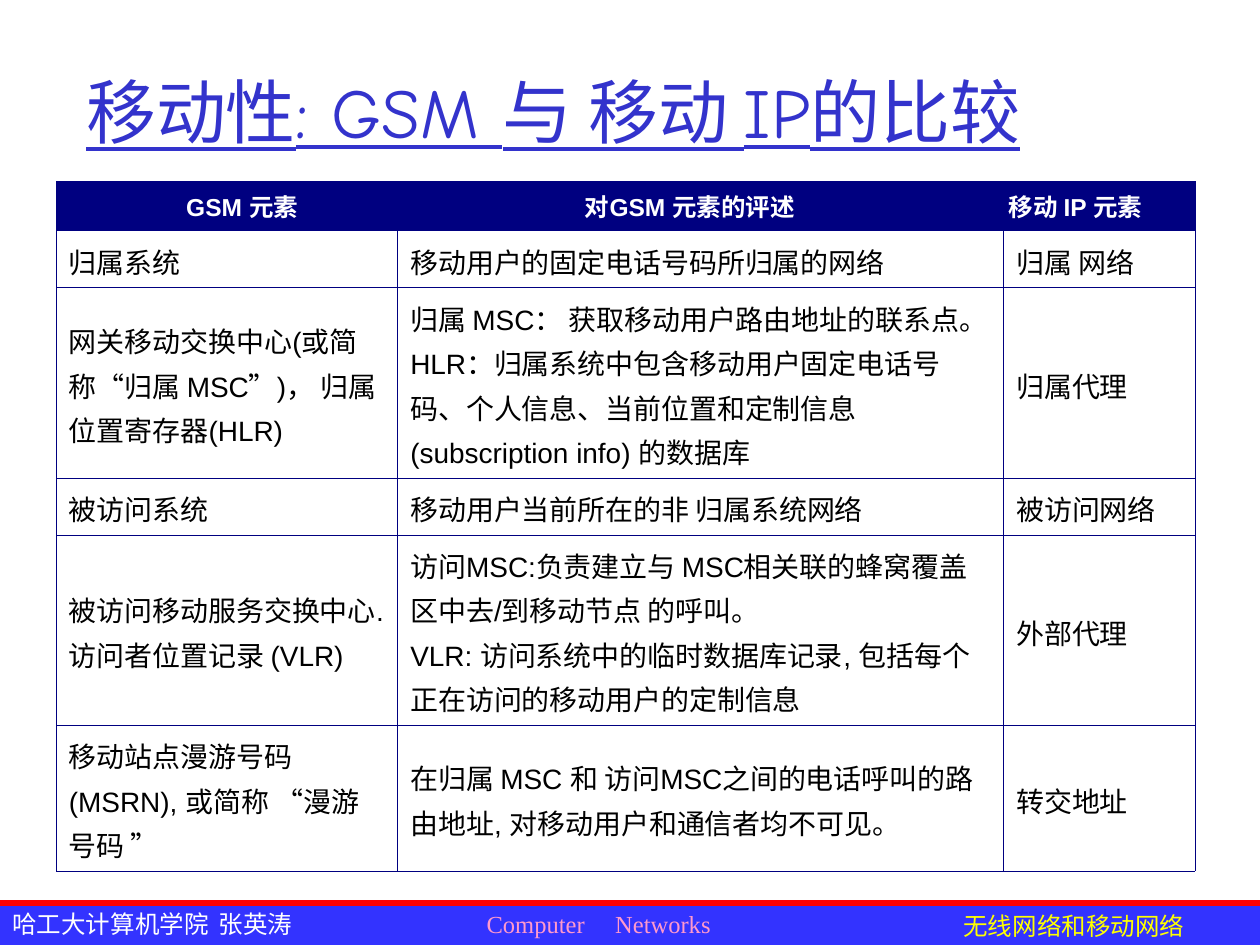
import dataclasses

import pptx
import pptx.dml.color
import pptx.enum.shapes
import pptx.enum.text
import pptx.oxml
import pptx.oxml.ns
import pptx.util

Pt = pptx.util.Pt
Align = pptx.enum.text.PP_ALIGN
Anchor = pptx.enum.text.MSO_ANCHOR


@dataclasses.dataclass(frozen=True)
class Theme:
    title_font: str = "Comic Neue"
    table_font: str = "Arial"
    footer_font: str = "Times New Roman"
    title_size: int = 40
    body_size: int = 16
    small_size: int = 14
    title: str = "3333CC"
    navy: str = "000080"
    bar: str = "3333FF"
    rule: str = "FF0000"
    course: str = "FF99CC"
    chapter: str = "FFFF00"
    black: str = "000000"
    white: str = "FFFFFF"


THEME = Theme()
PAGE_WIDTH, PAGE_HEIGHT = 720, 540
FOOTER_TOP = 516
BORDER = 0.45

COLUMNS = [195.1, 17.3, 299.5, 29.5, 109.4]
ROWS = [28.2, 32.6, 108.6, 32.6, 108.6, 83.4]
# First and last grid column of each visible cell
HEADER_SPANS = [(0, 1), (2, 2), (3, 4)]
BODY_SPANS = [(0, 0), (1, 3), (4, 4)]

HEADER = ["GSM 元素", "对GSM 元素的评述", "移动 IP 元素"]
# A cell is a list of paragraphs; a paragraph is a list of (text, font) spans
ARIAL, COMIC = THEME.table_font, THEME.title_font
BODY = [
    ["归属系统", "移动用户的固定电话号码所归属的网络", "归属 网络"],
    ["网关移动交换中心(或简称“归属 MSC”)， 归属位置寄存器(HLR)",
     "归属 MSC： 获取移动用户路由地址的联系点。 HLR：归属系统中包含移动用户固定电话号码、"
     "个人信息、当前位置和定制信息(subscription info) 的数据库",
     "归属代理"],
    ["被访问系统", "移动用户当前所在的非 归属系统网络", "被访问网络"],
    [[[("被访问移动服务交换中心.", ARIAL)], [("访问者位置记录 (VLR)", ARIAL)]],
     [[("访问MSC:负责建立与 MSC相关联的", ARIAL), ("蜂窝覆盖", COMIC),
       ("区中去/到移动节点 的呼叫。", ARIAL)],
      [("VLR: 访问系统中的临时数据库记录, 包括每个正在访问的移动用户的定制信息", ARIAL)]],
     "外部代理"],
    ["移动站点漫游号码 (MSRN), 或简称 “漫游号码 ”",
     "在归属 MSC 和 访问MSC之间的电话呼叫的路由地址, 对移动用户和通信者均不可见。",
     "转交地址"],
]


def color(value):
    return pptx.dml.color.RGBColor.from_string(value)


def add_span(para, text, *, font, size, fill, bold=False, underline=False):
    span = para.add_run()
    span.text = text
    span.font.name = font
    span.font.size = Pt(size)
    span.font.color.rgb = color(fill)
    span.font.bold = bold
    span.font.underline = underline


def add_tabs(para, stops):
    properties = para._p.get_or_add_pPr()
    tabs = properties.makeelement(pptx.oxml.ns.qn("a:tabLst"), {})
    for stop in stops:
        tab = tabs.makeelement(pptx.oxml.ns.qn("a:tab"), {"pos": str(Pt(stop)), "algn": "l"})
        tabs.append(tab)
    properties.append(tabs)


def add_footer(slide):
    # Blue bar with author and course
    bar = slide.shapes.add_shape(pptx.enum.shapes.MSO_SHAPE.RECTANGLE,
                                 0, Pt(FOOTER_TOP), Pt(PAGE_WIDTH), Pt(PAGE_HEIGHT - FOOTER_TOP))
    bar.shadow.inherit = False
    bar.fill.solid()
    bar.fill.fore_color.rgb = color(THEME.bar)
    bar.line.fill.background()
    bar.text_frame.vertical_anchor = Anchor.TOP
    para = bar.text_frame.paragraphs[0]
    para.alignment = Align.LEFT
    add_tabs(para, [118, 271, 344.5])
    style = {"font": THEME.footer_font, "size": THEME.small_size}
    add_span(para, "哈工大计算机学院\t张英涛", fill=THEME.white, **style)
    add_span(para, "\tComputer\tNetworks", fill=THEME.course, **style)

    # Red rule along the top of the bar
    rule = slide.shapes.add_connector(pptx.enum.shapes.MSO_CONNECTOR.STRAIGHT,
                                      0, Pt(FOOTER_TOP), Pt(PAGE_WIDTH), Pt(FOOTER_TOP))
    rule.line.color.rgb = color(THEME.rule)
    rule.line.width = Pt(3)
    effects = pptx.oxml.ns.qn("a:effectLst")
    rule._element.spPr.append(rule._element.spPr.makeelement(effects, {}))

    # Chapter name
    box = slide.shapes.add_textbox(Pt(455.8), Pt(517), Pt(228.2), Pt(23))
    box.text_frame.word_wrap = True
    para = box.text_frame.paragraphs[0]
    para.alignment = Align.RIGHT
    add_span(para, "无线网络和移动网络", font=THEME.title_font,
             size=THEME.small_size, fill=THEME.chapter)


def add_title(slide, text):
    title = slide.shapes.title
    title.left, title.top, title.width, title.height = Pt(42), Pt(18), Pt(612), Pt(90)
    title.text_frame.auto_size = pptx.enum.text.MSO_AUTO_SIZE.NONE
    title.text_frame.vertical_anchor = Anchor.MIDDLE
    para = title.text_frame.paragraphs[0]
    para.alignment = Align.LEFT
    add_span(para, text, font=THEME.title_font, size=THEME.title_size,
             fill=THEME.title, underline=True)


def add_borders(cell):
    namespace = pptx.oxml.ns.nsdecls("a")
    properties = cell._tc.get_or_add_tcPr()
    for index, side in enumerate(("lnL", "lnR", "lnT", "lnB")):
        properties.insert(index, pptx.oxml.parse_xml(
            f'<a:{side} {namespace} w="{Pt(BORDER)}"><a:solidFill>'
            f'<a:srgbClr val="{THEME.navy}"/></a:solidFill></a:{side}>'))


def fill_header(cell, text, alignment):
    para = cell.text_frame.paragraphs[0]
    para.alignment = alignment
    add_span(para, text, font=THEME.table_font, size=THEME.small_size,
             fill=THEME.white, bold=True)


def fill_body(cell, content):
    cell.vertical_anchor = Anchor.MIDDLE
    paragraphs = [[(content, ARIAL)]] if isinstance(content, str) else content
    for index, spans in enumerate(paragraphs):
        frame = cell.text_frame
        para = frame.add_paragraph() if index else frame.paragraphs[0]
        para.line_spacing = 1.1
        # Keep punctuation inside the cell margin
        para._p.get_or_add_pPr().set("hangingPunct", "0")
        for text, font in spans:
            add_span(para, text, font=font, size=THEME.body_size, fill=THEME.black)


def add_comparison(slide):
    table = slide.shapes.add_table(len(ROWS), len(COLUMNS), Pt(32.2), Pt(103.7),
                                   Pt(sum(COLUMNS)), Pt(sum(ROWS))).table
    table.first_row = table.horz_banding = False
    for column, width in zip(table.columns, COLUMNS):
        column.width = Pt(width)
    for row, height in zip(table.rows, ROWS):
        row.height = Pt(height)

    # Fills and borders
    for index, row in enumerate(table.rows):
        for cell in row.cells:
            if index == 0:
                cell.fill.solid()
                cell.fill.fore_color.rgb = color(THEME.navy)
            else:
                cell.fill.background()
            add_borders(cell)

    # Merged cells and their text
    for index, texts in enumerate([HEADER] + BODY):
        spans = BODY_SPANS if index else HEADER_SPANS
        for (first, last), content in zip(spans, texts):
            cell = table.cell(index, first)
            if last > first:
                cell.merge(table.cell(index, last))
            if index:
                fill_body(cell, content)
            else:
                fill_header(cell, content, Align.LEFT if first == 3 else Align.CENTER)
    table.cell(0, 3).margin_left = Pt(32.5)


def main():
    deck = pptx.Presentation()
    deck.slide_width, deck.slide_height = Pt(PAGE_WIDTH), Pt(PAGE_HEIGHT)
    slide = deck.slides.add_slide(deck.slide_layouts[5])
    add_footer(slide)
    add_title(slide, "移动性: GSM 与 移动 IP的比较")
    add_comparison(slide)
    deck.save("out.pptx")


if __name__ == "__main__":
    main()
